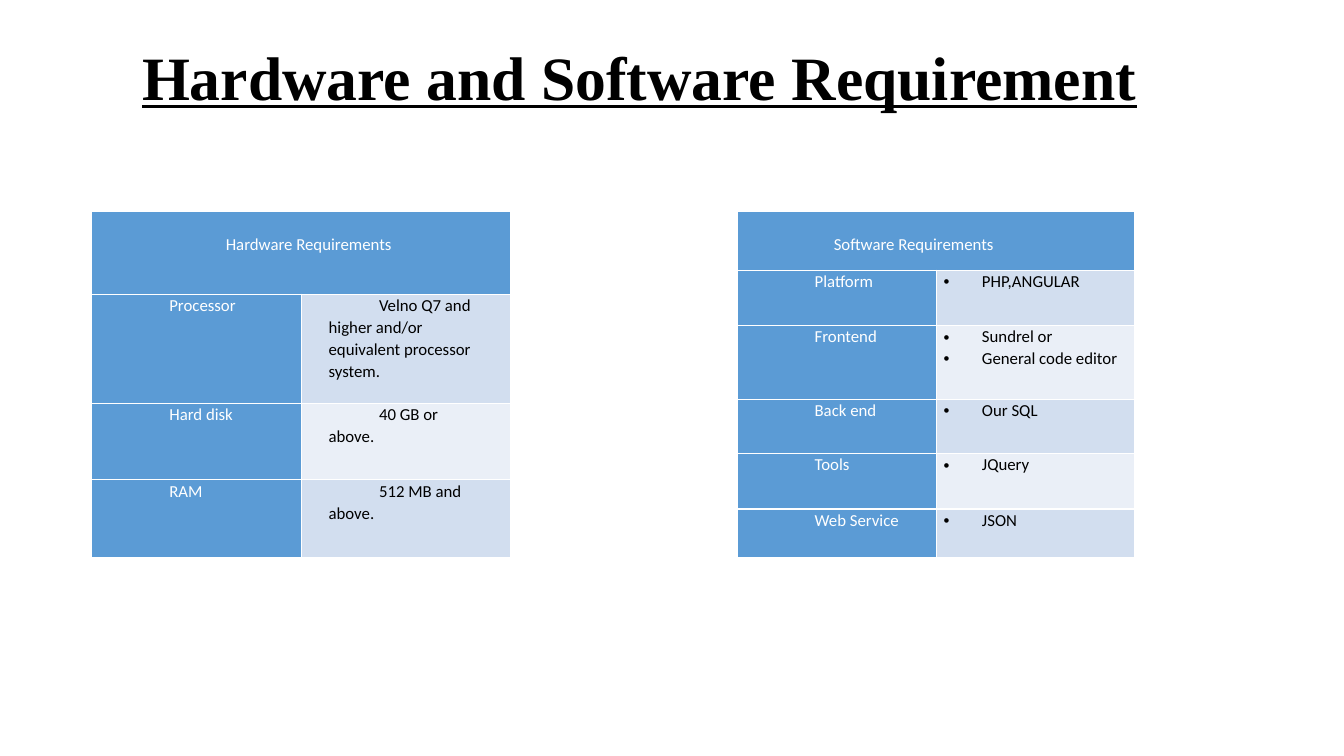
from dataclasses import dataclass

from lxml.etree import SubElement
from pptx import Presentation
from pptx.dml.color import RGBColor
from pptx.enum.text import MSO_ANCHOR as Anchor, PP_ALIGN as Align
from pptx.oxml import parse_xml
from pptx.oxml.ns import nsdecls, qn
from pptx.util import Inches, Pt


@dataclass(frozen=True)
class Theme:
    accent: str = "5B9BD5"
    bands: tuple = ("D2DEEF", "EAEFF7")
    light: str = "FFFFFF"
    dark: str = "000000"
    title_font: str = "Times New Roman"
    body_font: str = "Calibri"
    title_size: int = 44
    body_size: int = 12


class SlideBuilder:
    def __init__(self, slide, theme):
        self.slide = slide
        self.theme = theme

    def style_runs(self, paragraph, font, size, color, bold=False, underline=False):
        for run in paragraph.runs:
            run.font.name = font
            run.font.size = Pt(size)
            run.font.color.rgb = RGBColor.from_string(color)
            run.font.bold = bold
            run.font.underline = underline

    def title(self, text, left, top, width, height):
        heading = self.slide.shapes.title
        heading.left, heading.top = Inches(left), Inches(top)
        heading.width, heading.height = Inches(width), Inches(height)
        frame = heading.text_frame
        frame.text = text
        frame.word_wrap = True
        frame.vertical_anchor = Anchor.MIDDLE
        frame.margin_left = frame.margin_right = Inches(0.2)
        frame.margin_top, frame.margin_bottom = Inches(0.03), Inches(0.32)
        paragraph = frame.paragraphs[0]
        paragraph.alignment = Align.CENTER
        paragraph.line_spacing = 0.9
        self.style_runs(paragraph, self.theme.title_font, self.theme.title_size,
                        self.theme.dark, bold=True, underline=True)

    def borders(self, cell):
        """Draw thin white lines on all four cell edges."""
        properties = cell._tc.get_or_add_tcPr()
        for place, side in enumerate("LRTB"):
            properties.insert(place, parse_xml(
                f'<a:ln{side} {nsdecls("a")} w="{Pt(1)}"><a:solidFill>'
                f'<a:srgbClr val="{self.theme.light}"/></a:solidFill></a:ln{side}>'))

    def cell(self, cell, text, fill, color, margin=0.2, indent=0.5,
             bullet=False, top=0):
        cell.fill.solid()
        cell.fill.fore_color.rgb = RGBColor.from_string(fill)
        cell.margin_left = cell.margin_right = Inches(0.07)
        cell.margin_top, cell.margin_bottom = Inches(top), 0
        self.borders(cell)
        cell.text_frame.text = text
        for paragraph in cell.text_frame.paragraphs:
            paragraph.line_spacing = 1.07
            self.style_runs(paragraph, self.theme.body_font, self.theme.body_size, color)
            properties = paragraph._p.get_or_add_pPr()
            properties.set("marL", str(Inches(margin)))
            properties.set("indent", str(Inches(indent)))
            if bullet:
                SubElement(properties, qn("a:buFont")).set("typeface", "Arial")
                SubElement(properties, qn("a:buChar")).set("char", "•")
            else:
                properties.set("marR", str(Inches(0.2)))

    def requirements(self, heading, heading_indent, rows, left, top, widths, heights,
                     bullet=False):
        """Add a two-column table under one merged heading row."""
        theme = self.theme
        table = self.slide.shapes.add_table(
            len(heights), len(widths), Inches(left), Inches(top),
            Inches(sum(widths)), Inches(sum(heights))).table
        for column, width in zip(table.columns, widths):
            column.width = Inches(width)
        for row, height in zip(table.rows, heights):
            row.height = Inches(height)

        table.cell(0, 0).merge(table.cell(0, 1))
        self.cell(table.cell(0, 0), heading, theme.accent, theme.light,
                  margin=heading_indent, indent=0, top=0.21)
        margin, indent = (0.38, -0.38) if bullet else (0.2, 0.5)
        for number, (label, value) in enumerate(rows, start=1):
            self.cell(table.cell(number, 0), label, theme.accent, theme.light)
            self.cell(table.cell(number, 1), value, theme.bands[(number - 1) % 2],
                      theme.dark, margin, indent, bullet)


def main():
    deck = Presentation()
    deck.slide_width, deck.slide_height = Inches(13.33), Inches(7.5)
    title_only = deck.slide_layouts[5]
    builder = SlideBuilder(deck.slides.add_slide(title_only), Theme())

    builder.title("Hardware and Software Requirement", 0.91, 0.44, 10.87, 1)
    table_top = 2.1
    software = [
        ("Platform", "PHP,ANGULAR"),
        ("Frontend", "Sundrel or\nGeneral code editor"),
        ("Back end", "Our SQL"),
        ("Tools", "JQuery"),
        ("Web Service", "JSON"),
    ]
    builder.requirements("Software Requirements", 0.89, software, 7.31, table_top,
                         (1.98, 1.96), (0.58, 0.55, 0.73, 0.54, 0.55, 0.48), bullet=True)
    hardware = [
        ("Processor", "Velno Q7 and higher and/or equivalent processor system."),
        ("Hard disk", "40 GB or above."),
        ("RAM", "512 MB and above."),
    ]
    builder.requirements("Hardware Requirements", 1.26, hardware, 0.91, table_top,
                         (2.08, 2.07), (0.82, 1.08, 0.76, 0.77))
    deck.save("out.pptx")


if __name__ == "__main__":
    main()
